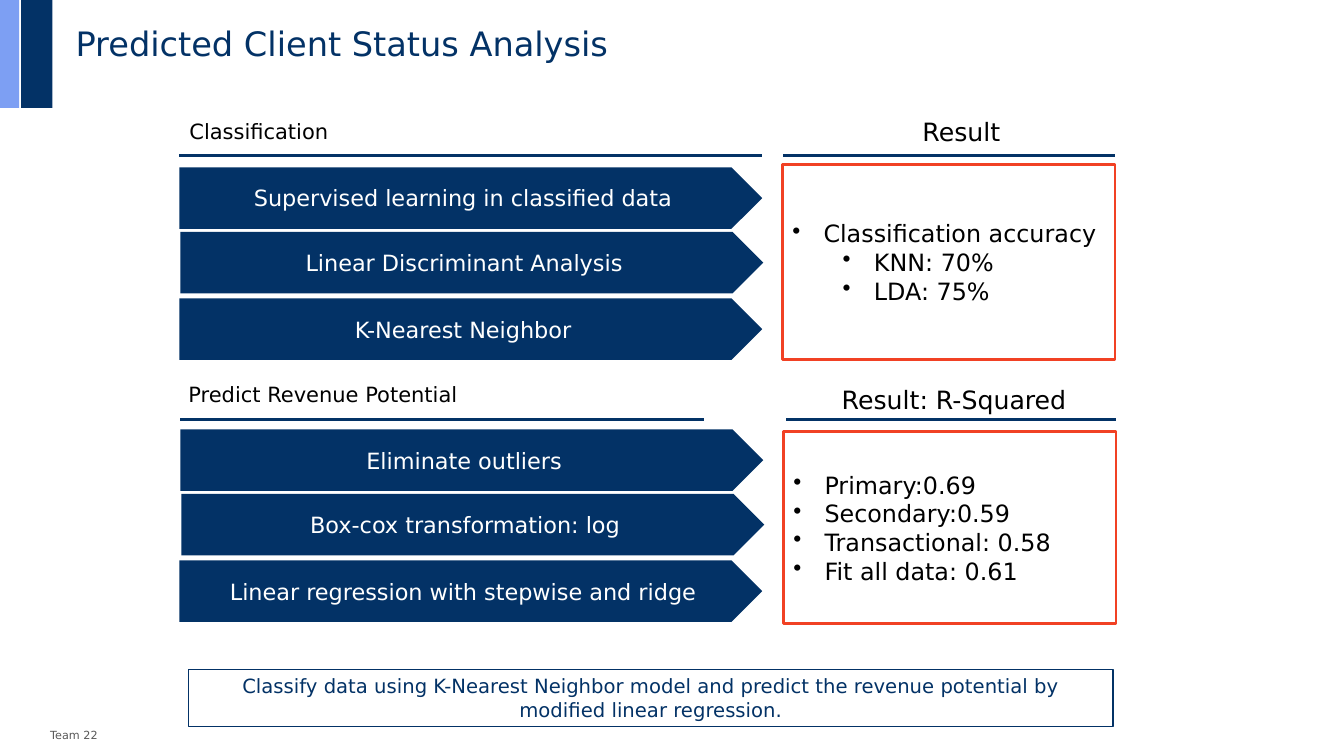
from dataclasses import dataclass

from lxml import etree
from pptx import Presentation
from pptx.dml.color import RGBColor
from pptx.enum.shapes import MSO_CONNECTOR, MSO_SHAPE
from pptx.enum.text import MSO_ANCHOR, PP_ALIGN
from pptx.oxml.ns import qn
from pptx.util import Inches, Pt

RECTANGLE = MSO_SHAPE.RECTANGLE
PENTAGON = MSO_SHAPE.PENTAGON
STRAIGHT = MSO_CONNECTOR.STRAIGHT
TOP, MIDDLE = MSO_ANCHOR.TOP, MSO_ANCHOR.MIDDLE
LEFT, CENTER = PP_ALIGN.LEFT, PP_ALIGN.CENTER


@dataclass(frozen=True)
class Theme:
    font: str = "DejaVu Sans"
    navy: str = "033266"
    sky: str = "7D9FF3"
    red: str = "F14124"
    black: str = "000000"
    white: str = "FFFFFF"
    gray: str = "595959"
    title: int = 24
    result_heading: int = 18
    result: int = 17
    step: int = 16
    heading: int = 15
    summary: int = 14
    footer: int = 8


class SlideBuilder:
    def __init__(self, page, theme):
        self.page = page
        self.theme = theme

    def set_text(self, shape, lines, size, color, align=LEFT, anchor=TOP, wrap=True):
        frame = shape.text_frame
        frame.word_wrap = wrap
        frame.vertical_anchor = anchor
        frame.text = "\n".join(lines)
        for para in frame.paragraphs:
            para.alignment = align
            para.font.name = self.theme.font
            para.font.size = Pt(size)
            para.font.color.rgb = RGBColor.from_string(color)

    def shape(self, kind, area, fill=None, line=None, weight=1):
        box = self.page.shapes.add_shape(kind, *map(Inches, area))
        box.shadow.inherit = False
        if fill:
            box.fill.solid()
            box.fill.fore_color.rgb = RGBColor.from_string(fill)
        else:
            box.fill.background()
        if line:
            box.line.color.rgb = RGBColor.from_string(line)
            box.line.width = Pt(weight)
        else:
            box.line.fill.background()
        return box

    def label(self, area, text, size, color, wrap=False, margin=None):
        box = self.page.shapes.add_textbox(*map(Inches, area))
        self.set_text(box, [text], size, color, wrap=wrap)
        if margin is not None:
            frame = box.text_frame
            frame.margin_left = frame.margin_right = Inches(margin)
            frame.margin_top = frame.margin_bottom = Inches(margin)

    def rule(self, left, right, top):
        line = self.page.shapes.add_connector(
            STRAIGHT, Inches(left), Inches(top), Inches(right), Inches(top)
        )
        line.line.color.rgb = RGBColor.from_string(self.theme.navy)
        line.line.width = Pt(2)
        etree.SubElement(line._element.spPr, qn("a:effectLst"))

    def step(self, left, top, text):
        arrow = self.shape(PENTAGON, (left, top, 5.78, 0.61), self.theme.navy)
        self.set_text(arrow, [text], self.theme.step, self.theme.white, CENTER, MIDDLE)

    def result(self, area, items):
        box = self.shape(RECTANGLE, area, line=self.theme.red, weight=2)
        lines = [text for level, text in items]
        self.set_text(box, lines, self.theme.result, self.theme.black, anchor=MIDDLE)
        for para, (level, text) in zip(box.text_frame.paragraphs, items):
            para.level = level
            properties = para._p.get_or_add_pPr()
            properties.set("marL", str(Inches(0.31 + 0.5 * level)))
            properties.set("indent", str(Inches(-0.31)))
            bullet = etree.Element(qn("a:buChar"), char="•")
            properties.insert(0, bullet)

    def summary(self, area, text):
        box = self.shape(RECTANGLE, area, line=self.theme.navy)
        self.set_text(box, [text], self.theme.summary, self.theme.navy, CENTER)


SECTIONS = [
    {
        "heading": ((1.78, 1.13, 1.58, 0.35), "Classification"),
        "result_heading": ((9.05, 1.11, 0.99, 0.4), "Result"),
        "rules": [(1.78, 7.56, 1.54), (7.77, 11.06, 1.54)],
        "steps": [
            (1.78, 1.66, "Supervised learning in classified data"),
            (1.79, 2.3, "Linear Discriminant Analysis"),
            (1.78, 2.96, "K-Nearest Neighbor"),
        ],
        "result_area": (7.76, 1.63, 3.3, 1.94),
        "results": [
            (0, "Classification accuracy"),
            (1, "KNN: 70%"),
            (1, "LDA: 75%"),
        ],
    },
    {
        "heading": ((1.77, 3.74, 2.89, 0.35), "Predict Revenue Potential"),
        "result_heading": ((8.25, 3.76, 2.52, 0.4), "Result: R-Squared"),
        "rules": [(1.79, 6.98, 4.16), (7.8, 11.07, 4.16)],
        "steps": [
            (1.79, 4.26, "Eliminate outliers"),
            (1.8, 4.9, "Box-cox transformation: log"),
            (1.78, 5.56, "Linear regression with stepwise and ridge"),
        ],
        "result_area": (7.77, 4.28, 3.3, 1.91),
        "results": [
            (0, "Primary:0.69"),
            (0, "Secondary:0.59"),
            (0, "Transactional: 0.58"),
            (0, "Fit all data: 0.61"),
        ],
    },
]


def main():
    deck = Presentation()
    deck.slide_width = Inches(13.33)
    deck.slide_height = Inches(7.5)
    theme = Theme()
    builder = SlideBuilder(deck.slides.add_slide(deck.slide_layouts[6]), theme)

    builder.shape(RECTANGLE, (0, 0, 0.19, 1.07), theme.sky)
    builder.shape(RECTANGLE, (0.21, 0, 0.31, 1.07), theme.navy)
    builder.label(
        (0.75, 0.23, 9.8, 0.69), "Predicted Client Status Analysis",
        theme.title, theme.navy, wrap=True, margin=0,
    )

    for section in SECTIONS:
        builder.label(*section["heading"], theme.heading, theme.black)
        builder.label(*section["result_heading"], theme.result_heading, theme.black)
        for rule in section["rules"]:
            builder.rule(*rule)
        for step in section["steps"]:
            builder.step(*step)
        builder.result(section["result_area"], section["results"])

    builder.summary(
        (1.87, 6.64, 9.17, 0.57),
        "Classify data using K-Nearest Neighbor model and predict "
        "the revenue potential by modified linear regression.",
    )
    builder.label(
        (0.4, 7.18, 4.57, 0.2), "Team 22", theme.footer, theme.gray, wrap=True
    )
    deck.save("out.pptx")


if __name__ == "__main__":
    main()
